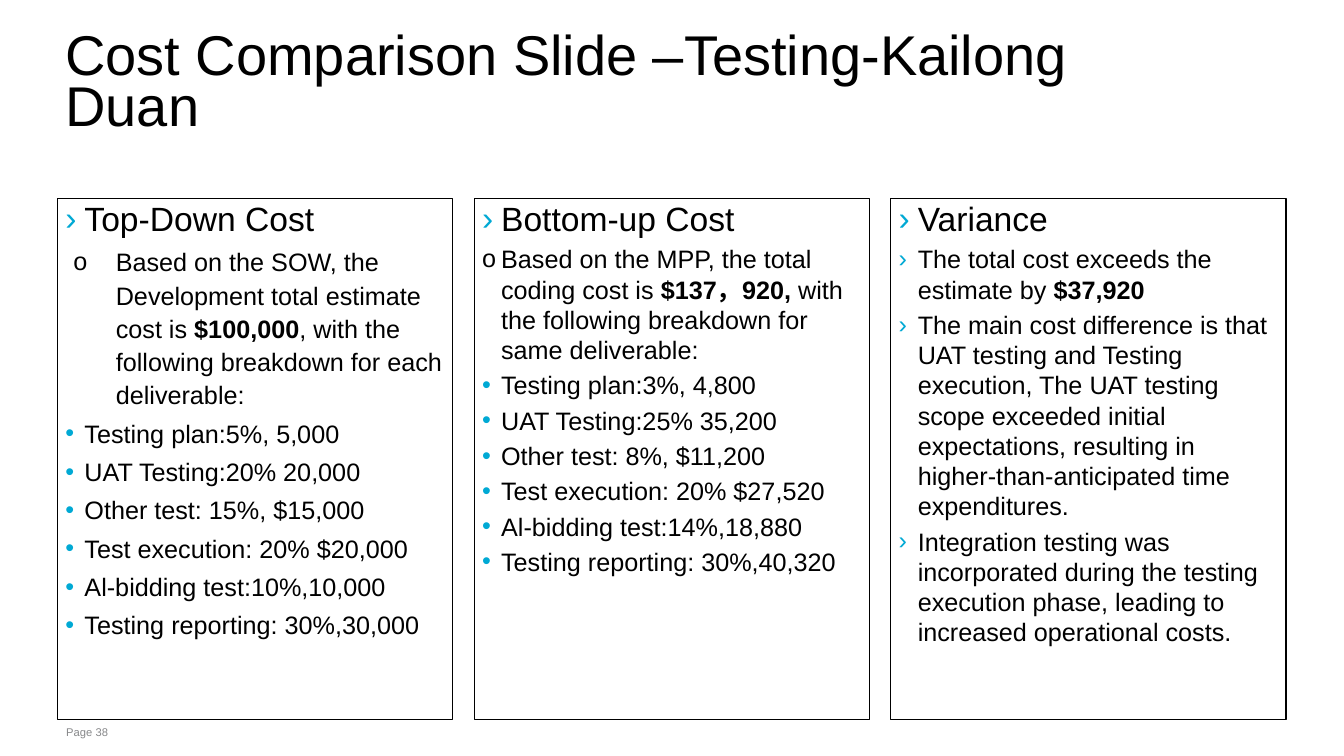
from lxml.etree import SubElement
from pptx import Presentation
from pptx.dml.color import RGBColor
from pptx.enum.shapes import MSO_SHAPE
from pptx.enum.text import MSO_ANCHOR, PP_ALIGN
from pptx.oxml.ns import qn
from pptx.util import Cm, Pt

COLORS = {"text": "000000", "accent": "00A9D4", "footer": "87888A", "paper": "FFFFFF"}
FONT = "Arial"
BODY_SIZE = 18
HEADING_SIZE = 24
COLUMN_LEFT, COLUMN_PITCH = 1.45, 10.5

BULLETS = {
    "heading": ("›", "accent", 0.48, -0.48),
    "arrow": ("›", "accent", 0.48, -0.48),
    "circle": ("o", "text", 0.48, -0.48),
    "deep circle": ("o", "text", 1.27, -1.07),
    "dot": ("•", "accent", 0.48, -0.5),
}

COLUMNS = [
    (1.1, [
        ("heading", "Top-Down Cost"),
        ("deep circle", "Based on the SOW, the Development total estimate cost is "
                        "**$100,000**, with the following breakdown for each deliverable:"),
        ("dot", "Testing plan:5%, 5,000"),
        ("dot", "UAT Testing:20% 20,000"),
        ("dot", "Other test: 15%, $15,000"),
        ("dot", "Test execution: 20% $20,000"),
        ("dot", "Al-bidding test:10%,10,000"),
        ("dot", "Testing reporting: 30%,30,000"),
    ]),
    (1.0, [
        ("heading", "Bottom-up Cost"),
        ("circle", "Based on the MPP, the total coding cost is** $137，920,** "
                   "with the following breakdown for same deliverable:"),
        ("dot", "Testing plan:3%, 4,800"),
        ("dot", "UAT Testing:25% 35,200"),
        ("dot", "Other test: 8%, $11,200"),
        ("dot", "Test execution: 20% $27,520"),
        ("dot", "Al-bidding test:14%,18,880"),
        ("dot", "Testing reporting: 30%,40,320"),
    ]),
    (1.0, [
        ("heading", "Variance"),
        ("arrow", "The total cost exceeds the estimate by **$37,920**"),
        ("arrow", "The main cost difference is that UAT testing and Testing execution, "
                  "The UAT testing scope exceeded initial expectations, resulting in "
                  "higher-than-anticipated time expenditures."),
        ("arrow", "Integration testing was incorporated during the testing execution "
                  "phase, leading to increased operational costs."),
    ]),
]


def color(name):
    return RGBColor.from_string(COLORS[name])


def set_frame(frame, anchor, vertical_inset=0):
    frame.word_wrap = True
    frame.vertical_anchor = anchor
    frame.margin_left = frame.margin_right = Cm(0.2)
    frame.margin_top = frame.margin_bottom = Cm(vertical_inset)


def add_spans(para, text, size, color_name):
    for index, part in enumerate(text.split("**")):
        if part:
            span = para.add_run()
            span.text = part
            span.font.name = FONT
            span.font.size = Pt(size)
            span.font.bold = index % 2 == 1
            span.font.color.rgb = color(color_name)


def set_bullet(para, kind):
    char, color_name, margin, indent = BULLETS[kind]
    properties = para._p.get_or_add_pPr()
    properties.set("marL", str(Cm(margin)))
    properties.set("indent", str(Cm(indent)))
    fill = SubElement(properties, qn("a:buClr"))
    SubElement(fill, qn("a:srgbClr"), val=COLORS[color_name])
    SubElement(properties, qn("a:buFont"), typeface=FONT)
    SubElement(properties, qn("a:buChar"), char=char)


def add_label(page, area, text, size, color_name, anchor, vertical_inset=0, spacing=1.0):
    box = page.shapes.add_textbox(*map(Cm, area))
    set_frame(box.text_frame, anchor, vertical_inset)
    para = box.text_frame.paragraphs[0]
    para.line_spacing = spacing
    add_spans(para, text, size, color_name)


def add_column(page, left, body_spacing, items):
    box = page.shapes.add_shape(MSO_SHAPE.RECTANGLE, Cm(left), Cm(5), Cm(9.96), Cm(13.13))
    box.shadow.inherit = False
    box.fill.background()
    box.line.color.rgb = color("text")
    box.line.width = Pt(0.75)
    frame = box.text_frame
    set_frame(frame, MSO_ANCHOR.TOP)
    for index, (kind, text) in enumerate(items):
        para = frame.add_paragraph() if index else frame.paragraphs[0]
        is_heading = kind == "heading"
        size = HEADING_SIZE if is_heading else BODY_SIZE
        para.alignment = PP_ALIGN.LEFT
        para.line_spacing = 1.0 if is_heading else body_spacing
        para.space_before = Pt(0.2 * BODY_SIZE if index else 0)
        set_bullet(para, kind)
        add_spans(para, text, size, "text")


def main():
    deck = Presentation()
    deck.slide_width, deck.slide_height = Cm(33.87), Cm(19.05)
    page = deck.slides.add_slide(deck.slide_layouts[6])
    page.background.fill.solid()
    page.background.fill.fore_color.rgb = color("paper")
    add_label(page, (1.47, 18.14, 27.41, 0.61), "Page 38", 8, "footer",
              MSO_ANCHOR.TOP, vertical_inset=0.13)
    for index, (spacing, items) in enumerate(COLUMNS):
        add_column(page, COLUMN_LEFT + index * COLUMN_PITCH, spacing, items)
    add_label(page, (1.45, 0.66, 27.76, 3.02), "Cost Comparison Slide –Testing-Kailong Duan",
              40, "text", MSO_ANCHOR.MIDDLE, spacing=0.75)
    deck.save("out.pptx")


if __name__ == "__main__":
    main()
